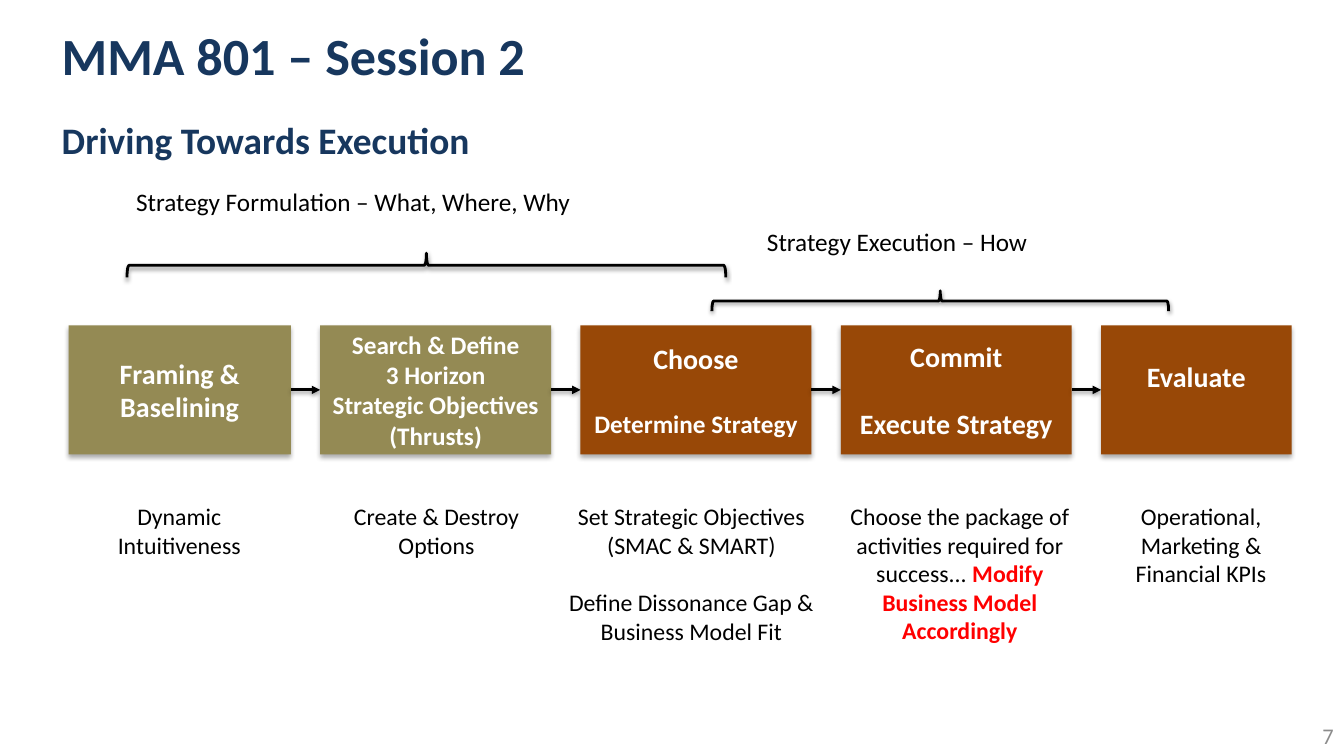
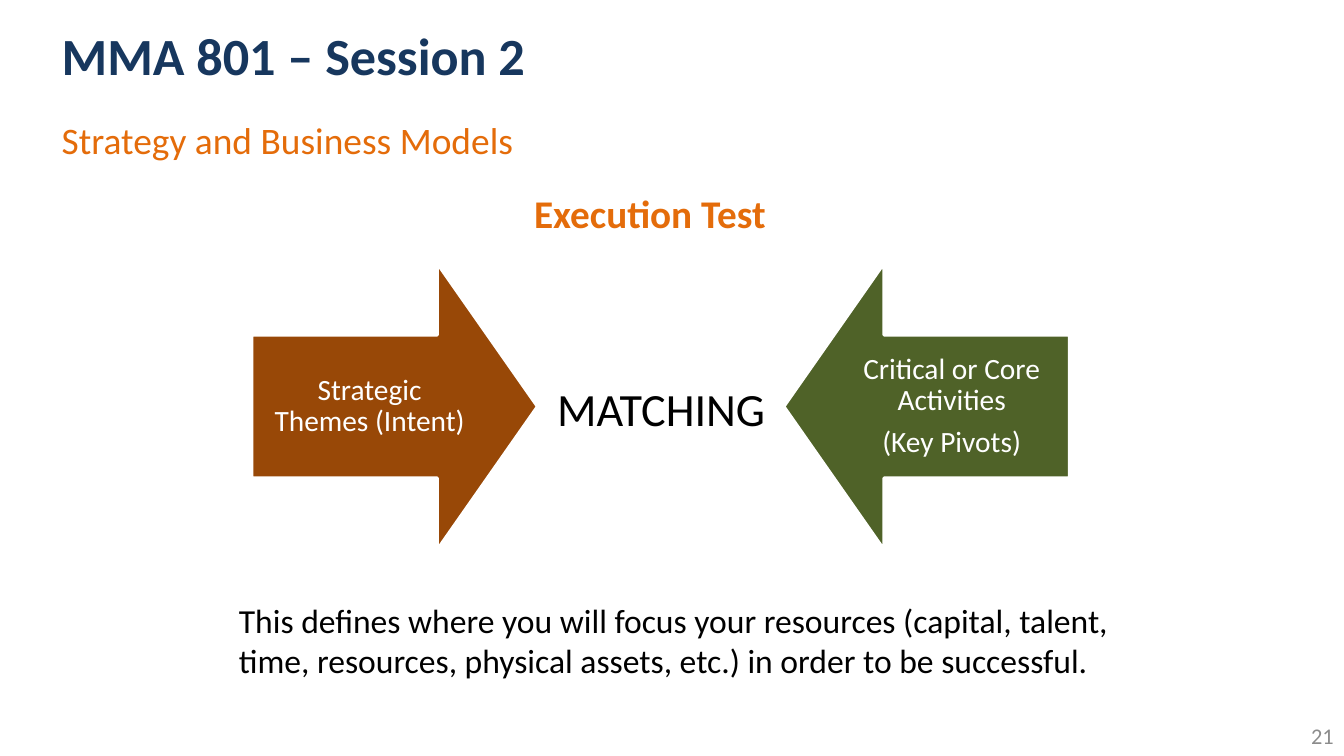
from lxml import etree
from pptx import Presentation
from pptx.dml.color import RGBColor
from pptx.enum.shapes import MSO_CONNECTOR, MSO_SHAPE
from pptx.enum.text import MSO_ANCHOR, MSO_AUTO_SIZE, PP_ALIGN
from pptx.oxml.ns import qn
from pptx.util import Cm, Pt

LEFT, CENTER, RIGHT = PP_ALIGN.LEFT, PP_ALIGN.CENTER, PP_ALIGN.RIGHT
MIDDLE = MSO_ANCHOR.MIDDLE
FIT_TEXT = MSO_AUTO_SIZE.SHAPE_TO_FIT_TEXT
RECTANGLE, BRACE = MSO_SHAPE.RECTANGLE, MSO_SHAPE.LEFT_BRACE
RIGHT_ARROW, LEFT_ARROW = MSO_SHAPE.RIGHT_ARROW, MSO_SHAPE.LEFT_ARROW
STRAIGHT = MSO_CONNECTOR.STRAIGHT

NAVY = RGBColor(0x17, 0x37, 0x5E)
ORANGE = RGBColor(0xE4, 0x6C, 0x0A)
KHAKI = RGBColor(0x94, 0x8A, 0x54)
RUST = RGBColor(0x98, 0x48, 0x07)
GREEN = RGBColor(0x4F, 0x62, 0x28)
RED = RGBColor(0xFF, 0x00, 0x00)
GRAY = RGBColor(0x8C, 0x8C, 0x8C)
BLACK = RGBColor(0x00, 0x00, 0x00)
WHITE = RGBColor(0xFF, 0xFF, 0xFF)

# Text styles: size, colour, bold
FONT = "Calibri"
TITLE = (37.3, NAVY, True)
NUMBER = (16, GRAY, False)
STEP = (20, WHITE, True)
STEP_SMALL = (18, WHITE, True)
CAPTION = (17, BLACK, False)
WARNING = (17, RED, True)
PHASE = (18, BLACK, False)
ARROW = (21, WHITE, False)


def add_paragraph(frame, spans, align=LEFT, before=None):
    """Fill the empty first paragraph, or append one, with (text, style) spans."""
    paragraph = frame.paragraphs[0]
    if paragraph.runs:
        paragraph = frame.add_paragraph()
    paragraph.alignment = align
    if before is not None:
        paragraph.space_before = Pt(before)
    for text, (size, color, bold) in spans:
        span = paragraph.add_run()
        span.text = text
        span.font.name = FONT
        span.font.size = Pt(size)
        span.font.bold = bold
        span.font.color.rgb = color
    return paragraph


def cast_shadow(item, opacity, blur, distance):
    """Give a shape or connector a soft black shadow straight below it."""
    properties = item.element.spPr
    effects = properties.find(qn("a:effectLst"))
    if effects is None:
        effects = etree.SubElement(properties, qn("a:effectLst"))
    shadow = etree.SubElement(
        effects, qn("a:outerShdw"), blurRad=str(Pt(blur)), dist=str(Pt(distance)),
        dir="5400000", rotWithShape="0")
    color = etree.SubElement(shadow, qn("a:srgbClr"), val=str(BLACK))
    etree.SubElement(color, qn("a:alpha"), val=str(opacity * 1000))


deck = Presentation()
deck.slide_width, deck.slide_height = Cm(33.87), Cm(19.05)

# Shared layout: left-aligned title, unbulleted subtitle
layout = deck.slide_layouts[1]
PLACES = [(1.3, 0.18, 27.79, 2.39), (1.3, 2.82, 31.37, 14.2)]
for holder, place in zip(layout.placeholders, PLACES):
    holder.left, holder.top, holder.width, holder.height = map(Cm, place)
    list_style = holder.element.txBody.find(qn("a:lstStyle"))
    for level in list(list_style):
        list_style.remove(level)
    level = etree.SubElement(list_style, qn("a:lvl1pPr"), marL="0", indent="0", algn="l")
    etree.SubElement(level, qn("a:buNone"))

# Subtitle, its style, slide number, text boxes (left, top, width, height, text, style)
PAGES = [
    ("Driving Towards Execution", (26.7, NAVY, True), "7", [
        (3.18, 4.57, 14.76, 1.27, "Strategy Formulation – What, Where, Why", PHASE),
        (19.08, 5.59, 9.42, 1.27, "Strategy Execution – How", PHASE),
    ]),
    ("Strategy and Business Models", (26.7, ORANGE, False), "21", [
        (13.21, 4.65, 10.36, 1.45, "Execution Test", (28, ORANGE, True)),
        (13.79, 9.45, 5.87, 1.68, "MATCHING", (33, BLACK, False)),
        (5.77, 14.99, 22.53, 2.31,
         "This defines where you will focus your resources (capital, talent, time, "
         "resources, physical assets, etc.) in order to be successful.",
         (24, BLACK, False)),
    ]),
]
for subtitle, subtitle_style, number, texts in PAGES:
    page = deck.slides.add_slide(layout)
    add_paragraph(page.shapes.title.text_frame, [("MMA 801 – Session 2", TITLE)])
    add_paragraph(page.placeholders[1].text_frame, [(subtitle, subtitle_style)])
    box = page.shapes.add_textbox(Cm(26.24), Cm(18.03), Cm(7.62), Cm(1.02))
    box.text_frame.word_wrap = True
    box.text_frame.vertical_anchor = MIDDLE
    add_paragraph(box.text_frame, [(number, NUMBER)], RIGHT)
    for *place, text, style in texts:
        box = page.shapes.add_textbox(*map(Cm, place))
        box.text_frame.word_wrap = True
        box.text_frame.auto_size = FIT_TEXT
        add_paragraph(box.text_frame, [(text, style)])

process_page, matching_page = deck.slides

# Process steps: width, fill, bottom inset, paragraphs (text, style, space before)
STEP_TOP, STEP_HEIGHT, STEP_GAP = 8.2, 3.25, 0.74
STEPS = [
    (5.6, KHAKI, 0.13, [("Framing & Baselining", STEP, 0)]),
    (5.82, KHAKI, 0.13, [("Search & Define", STEP_SMALL, 0),
                         ("3 Horizon", STEP_SMALL, 0),
                         ("Strategic Objectives (Thrusts)", STEP_SMALL, 0)]),
    (5.82, RUST, 0.13, [("Choose", STEP, 0), ("Determine Strategy", STEP_SMALL, 24)]),
    (5.82, RUST, 0.13, [("Commit", STEP, 0), ("Execute Strategy", STEP, 24)]),
    (4.8, RUST, 0.79, [("Evaluate", STEP, 0)]),
]
left = 1.73
middle = STEP_TOP + STEP_HEIGHT / 2
for index, (width, fill, bottom, paragraphs) in enumerate(STEPS):
    if index:
        connector = process_page.shapes.add_connector(
            STRAIGHT, Cm(left - STEP_GAP), Cm(middle), Cm(left), Cm(middle))
        connector.line.color.rgb = BLACK
        connector.line.width = Pt(2)
        outline = connector.element.spPr.find(qn("a:ln"))
        etree.SubElement(outline, qn("a:tailEnd"), type="triangle")
        cast_shadow(connector, 38, 3.1, 1.6)
    box = process_page.shapes.add_shape(
        RECTANGLE, Cm(left), Cm(STEP_TOP), Cm(width), Cm(STEP_HEIGHT))
    box.fill.solid()
    box.fill.fore_color.rgb = fill
    box.line.fill.background()
    box.shadow.inherit = False
    cast_shadow(box, 32, 3.5, 2.2)
    box.text_frame.word_wrap = True
    box.text_frame.vertical_anchor = MIDDLE
    box.text_frame.margin_bottom = Cm(bottom)
    for text, style, before in paragraphs:
        add_paragraph(box.text_frame, [(text, style)], CENTER, before)
    left += width + STEP_GAP

# Braces over the phases: unrotated left, top, width, height
for place in [(10.44, -0.86, 0.61, 15.09), (23.44, 1.83, 0.51, 11.51)]:
    brace = process_page.shapes.add_shape(BRACE, *map(Cm, place))
    brace.rotation = 90
    brace.fill.background()
    brace.line.color.rgb = BLACK
    brace.line.width = Pt(2)
    brace.shadow.inherit = False
    cast_shadow(brace, 38, 3.1, 1.6)

# Captions under the steps: left, width, height, paragraphs (spans, space before)
CAPTIONS = [
    (1.75, 5.54, 2.13, [([("Dynamic Intuitiveness", CAPTION)], 0)]),
    (7.75, 6.5, 2.13, [([("Create & Destroy Options", CAPTION)], 0)]),
    (13.74, 7.37, 3.89, [
        ([("Set Strategic Objectives", CAPTION)], 0),
        ([("(SMAC & SMART)", CAPTION)], 0),
        ([("Define Dissonance Gap & Business Model Fit", CAPTION)], 20.75)]),
    (20.75, 6.88, 4.85, [
        ([("Choose the package of activities required for success... ", CAPTION),
          ("Modify Business Model Accordingly", WARNING)], 0)]),
    (27.64, 5.26, 3.05, [([("Operational, Marketing & Financial KPIs", CAPTION)], 0)]),
]
for left, width, height, paragraphs in CAPTIONS:
    box = process_page.shapes.add_textbox(Cm(left), Cm(12.52), Cm(width), Cm(height))
    box.text_frame.word_wrap = True
    box.text_frame.auto_size = FIT_TEXT
    for spans, before in paragraphs:
        add_paragraph(box.text_frame, spans, CENTER, before)

# Facing arrows
ARROW_SIZE = Cm(7.19)
ARROWS = [
    (RIGHT_ARROW, 6.35, RUST, ["Strategic Themes (Intent)"]),
    (LEFT_ARROW, 19.76, GREEN, ["Critical or Core Activities", "(Key Pivots)"]),
]
for kind, left, fill, texts in ARROWS:
    arrow = matching_page.shapes.add_shape(
        kind, Cm(left), Cm(6.65), ARROW_SIZE, ARROW_SIZE)
    arrow.adjustments[0], arrow.adjustments[1] = 0.5, 0.35
    arrow.fill.solid()
    arrow.fill.fore_color.rgb = fill
    arrow.line.color.rgb = WHITE
    arrow.line.width = Pt(2)
    arrow.shadow.inherit = False
    frame = arrow.text_frame
    frame.word_wrap = True
    frame.vertical_anchor = MIDDLE
    frame.margin_left = frame.margin_right = Cm(0.41)
    frame.margin_top = frame.margin_bottom = Cm(0.41)
    for text in texts:
        paragraph = add_paragraph(frame, [(text, ARROW)], CENTER)
        paragraph.line_spacing = 0.9
        paragraph.space_after = Pt(7.35)

deck.save("out.pptx")
